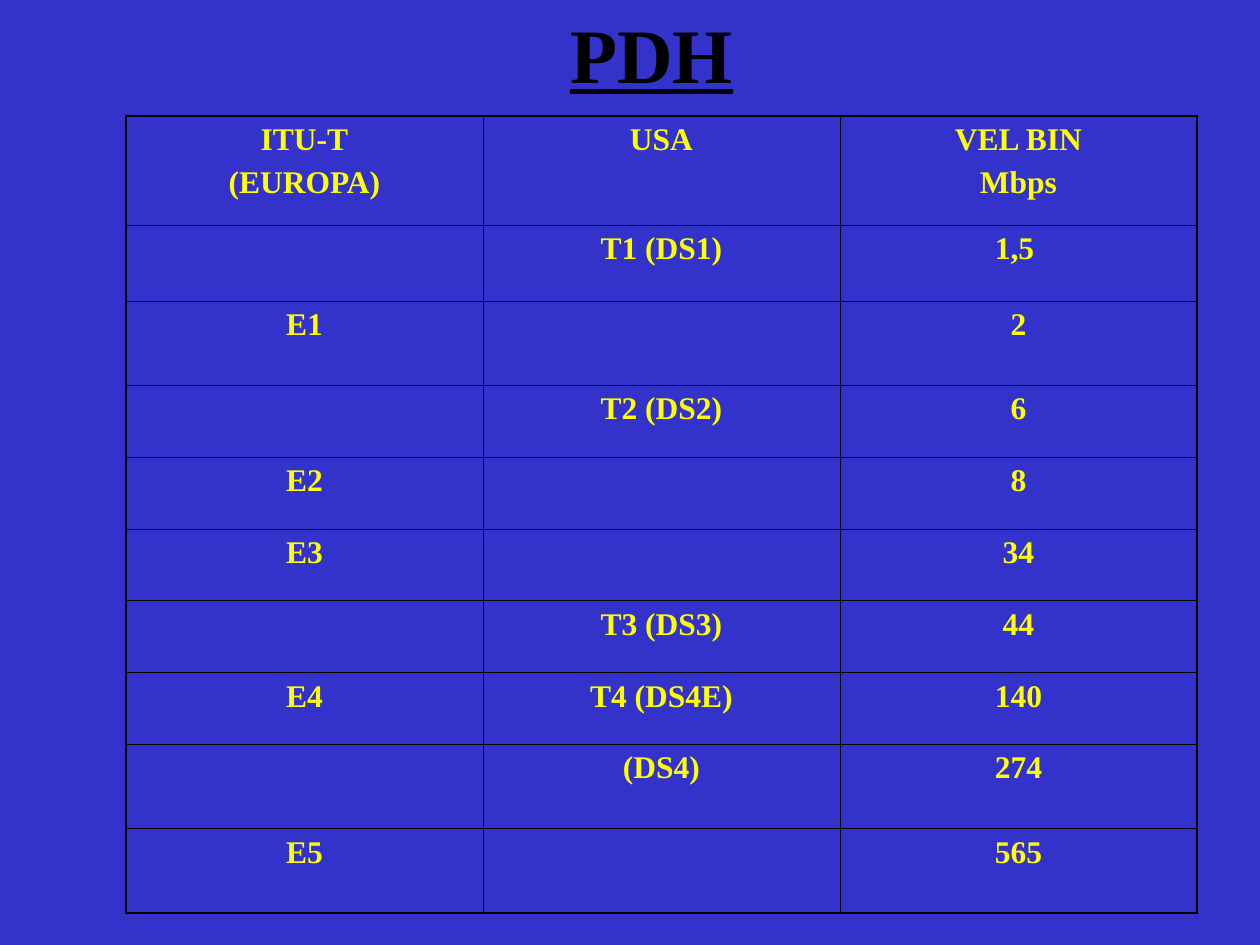
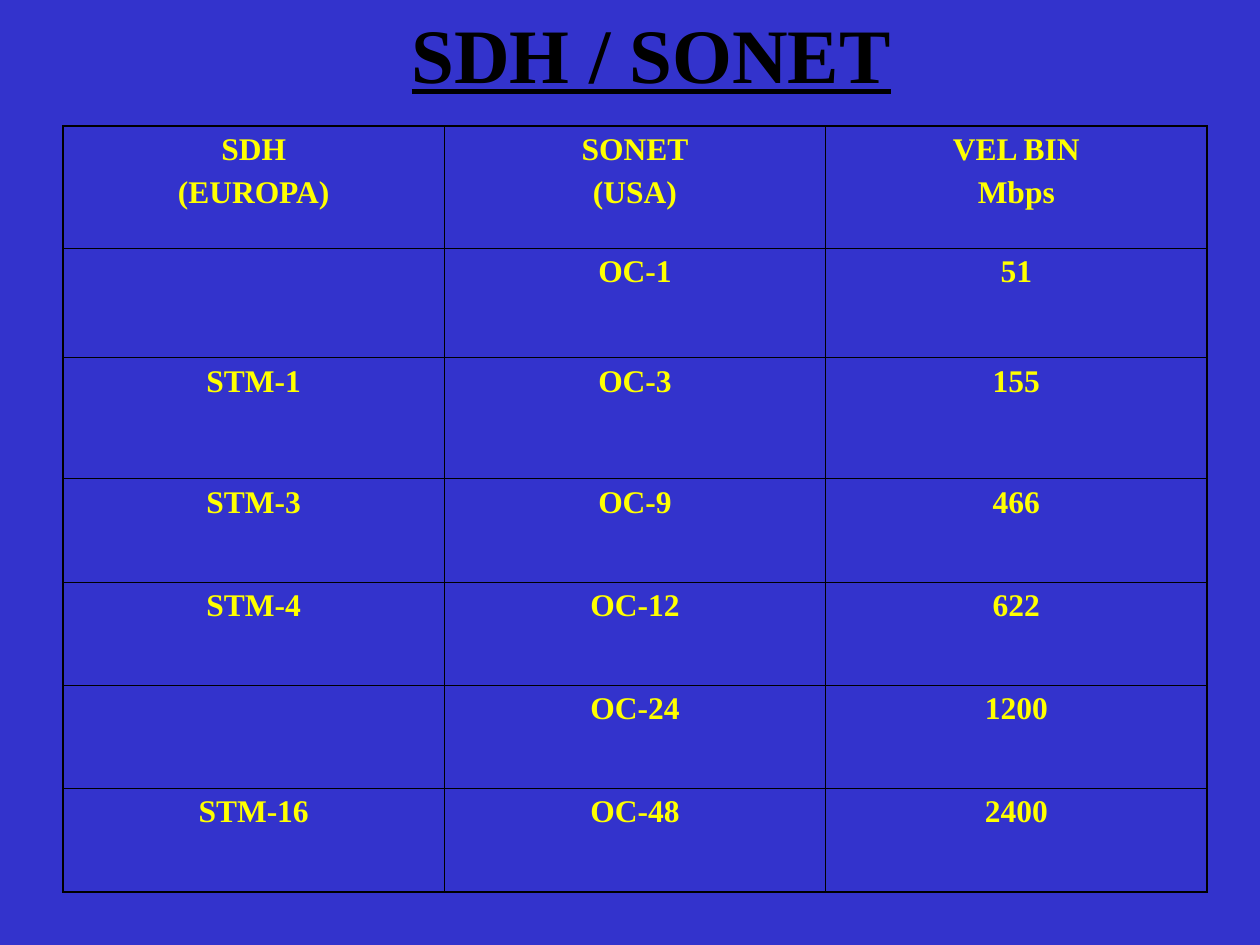
from dataclasses import dataclass

from lxml import etree
from pptx import Presentation
from pptx.dml.color import RGBColor
from pptx.enum.text import MSO_ANCHOR, MSO_AUTO_SIZE, PP_ALIGN
from pptx.oxml.ns import qn
from pptx.util import Inches, Pt

CENTER = PP_ALIGN.CENTER
MIDDLE = MSO_ANCHOR.MIDDLE
NO_AUTOFIT = MSO_AUTO_SIZE.NONE

FONT = "Times New Roman"
BACKGROUND = "3333CC"
TITLE_COLOUR = "000000"
CELL_COLOUR = "FFFF00"
BORDER_COLOUR = "000000"
OUTER_BORDER = 1.08
INNER_BORDER = 0.45
TITLE_ONLY = 5


@dataclass(frozen=True)
class RateSlide:
    title: str
    left: float
    top: float
    width: float
    row_heights: list[float]
    rows: list[tuple[str, str, str]]


PDH = RateSlide(
    title="PDH",
    left=1, top=0.92, width=8.5,
    row_heights=[0.87, 0.6, 0.67, *[0.57] * 5, 0.67, 0.67],
    rows=[
        ("ITU-T\n(EUROPA)", "USA", "VEL BIN\nMbps"),
        ("", "T1 (DS1)", "1,5 "),
        ("E1", "", "2"),
        ("", "T2 (DS2)", "6"),
        ("E2", "", "8"),
        ("E3", "", "34"),
        ("", "T3 (DS3)", "44"),
        ("E4", "T4 (DS4E)", "140"),
        ("", "(DS4)", "274"),
        ("E5", "", "565"),
    ],
)

SDH_SONET = RateSlide(
    title="SDH / SONET",
    left=0.5, top=1, width=9.08,
    row_heights=[0.97, 0.87, 0.96, *[0.82] * 4],
    rows=[
        ("SDH\n(EUROPA)", "SONET\n(USA)", "VEL BIN\nMbps"),
        ("", "OC-1", "51"),
        ("STM-1", "OC-3", "155"),
        ("STM-3", "OC-9", "466"),
        ("STM-4", "OC-12", "622"),
        ("", "OC-24", "1200"),
        ("STM-16", "OC-48", "2400"),
    ],
)


def colour(hex_value: str) -> RGBColor:
    return RGBColor.from_string(hex_value)


def write_lines(frame, text: str, size: float, hex_value: str,
                underline: bool = False) -> None:
    for index, line in enumerate(text.split("\n")):
        paragraph = frame.add_paragraph() if index else frame.paragraphs[0]
        paragraph.alignment = CENTER
        paragraph.space_before = Pt(4.5 if index else 0)
        if line:
            run = paragraph.add_run()
            run.text = line
            run.font.name = FONT
            run.font.size = Pt(size)
            run.font.bold = True
            run.font.underline = underline
            run.font.color.rgb = colour(hex_value)


def add_title(slide, text: str) -> None:
    title = slide.shapes.title
    title.left, title.top = Inches(0.92), Inches(0)
    title.width, title.height = Inches(8.5), Inches(0.83)
    frame = title.text_frame
    frame.auto_size = NO_AUTOFIT
    frame.vertical_anchor = MIDDLE
    write_lines(frame, text, 44, TITLE_COLOUR, underline=True)


def set_borders(cell, outer_sides: dict[str, bool]) -> None:
    properties = cell._tc.get_or_add_tcPr()
    for side, is_outer in outer_sides.items():
        width = Pt(OUTER_BORDER if is_outer else INNER_BORDER)
        border = etree.SubElement(properties, qn(f"a:ln{side}"), w=str(width))
        fill = etree.SubElement(border, qn("a:solidFill"))
        etree.SubElement(fill, qn("a:srgbClr"), val=BORDER_COLOUR)


def add_rate_table(slide, content: RateSlide) -> None:
    row_count, column_count = len(content.rows), len(content.rows[0])
    table = slide.shapes.add_table(
        row_count, column_count, Inches(content.left), Inches(content.top),
        Inches(content.width), Inches(sum(content.row_heights))).table
    table.first_row = False
    table.horz_banding = False
    for column in table.columns:
        column.width = Inches(content.width / column_count)
    for r, (height, texts) in enumerate(zip(content.row_heights, content.rows)):
        table.rows[r].height = Inches(height)
        for c, text in enumerate(texts):
            cell = table.cell(r, c)
            set_borders(cell, {"L": c == 0, "R": c == column_count - 1,
                               "T": r == 0, "B": r == row_count - 1})
            cell.fill.background()
            write_lines(cell.text_frame, text, 18, CELL_COLOUR)


def main() -> None:
    presentation = Presentation()
    presentation.slide_width = Inches(10)
    presentation.slide_height = Inches(7.5)
    background = presentation.slide_master.background.fill
    background.solid()
    background.fore_color.rgb = colour(BACKGROUND)
    for content in (PDH, SDH_SONET):
        slide = presentation.slides.add_slide(presentation.slide_layouts[TITLE_ONLY])
        add_title(slide, content.title)
        add_rate_table(slide, content)
    presentation.save("out.pptx")


if __name__ == "__main__":
    main()
